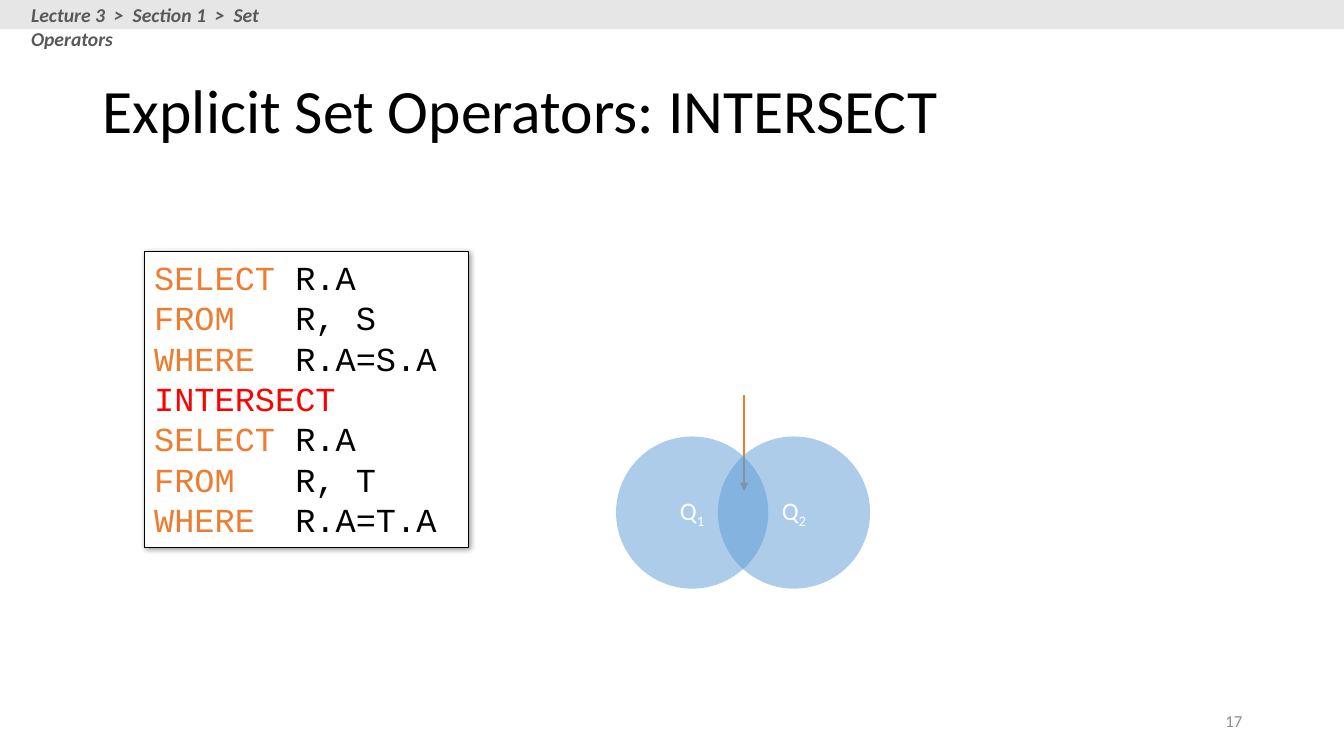
from lxml import etree
from pptx import Presentation
from pptx.dml.color import RGBColor
from pptx.enum import shapes, text
from pptx.oxml import parse_xml
from pptx.oxml.ns import nsdecls, qn
from pptx.util import Inches, Pt

BLACK = RGBColor(0x00, 0x00, 0x00)
WHITE = RGBColor(0xFF, 0xFF, 0xFF)
ORANGE = RGBColor(0xED, 0x7D, 0x31)
RED = RGBColor(0xFF, 0x00, 0x00)
BLUE = RGBColor(0x5B, 0x9B, 0xD5)
BAND = RGBColor(0xE7, 0xE6, 0xE6)
CRUMB = RGBColor(0x59, 0x59, 0x59)
NUMBER = RGBColor(0x8C, 0x8C, 0x8C)


def add_run(p, txt, size, color, font="Calibri", bold=False, italic=False, base=None):
    r = p.add_run()
    r.text = txt
    f = r.font
    f.name, f.size, f.bold, f.italic = font, Pt(size), bold, italic
    f.color.rgb = color
    if base is not None:
        r._r.get_or_add_rPr().set("baseline", str(base * 1000))


def add_filled(parent, kind, x, y, w, h, fill):
    sp = parent.add_shape(kind, Inches(x), Inches(y), Inches(w), Inches(h))
    sp.shadow.inherit = False
    sp.fill.solid()
    sp.fill.fore_color.rgb = fill
    sp.line.fill.background()
    return sp


prs = Presentation()
prs.slide_width, prs.slide_height = Inches(13.33), Inches(7.5)
s = prs.slides.add_slide(prs.slide_layouts[5])

# Title
title = s.shapes.title
title.left, title.top = Inches(0.92), Inches(0.4)
title.width, title.height = Inches(11.5), Inches(1.45)
title.text_frame.vertical_anchor = text.MSO_ANCHOR.MIDDLE
p = title.text_frame.paragraphs[0]
p.alignment = text.PP_ALIGN.LEFT
p.line_spacing = 0.9
add_run(p, "Explicit Set Operators: INTERSECT", 44, BLACK)

# Slide number
tb = s.shapes.add_textbox(Inches(9.42), Inches(6.95), Inches(3), Inches(0.4))
tb.text_frame.word_wrap = True
tb.text_frame.vertical_anchor = text.MSO_ANCHOR.MIDDLE
p = tb.text_frame.paragraphs[0]
p.alignment = text.PP_ALIGN.RIGHT
add_run(p, "17", 12, NUMBER)

# Query box with soft shadow
box = add_filled(s.shapes, shapes.MSO_SHAPE.RECTANGLE, 1.43, 2.5, 3.22, 2.93, WHITE)
box.line.color.rgb = BLACK
box.line.width = Pt(0.75)
effects = box._element.spPr.find(qn("a:effectLst"))
effects.append(parse_xml(
    f'<a:outerShdw {nsdecls("a")} blurRad="50800" dist="12700" dir="2700000" '
    'algn="tl" rotWithShape="0"><a:srgbClr val="000000">'
    '<a:alpha val="40000"/></a:srgbClr></a:outerShdw>'))
query = [
    ("SELECT", " R.A"),
    ("FROM", "   R, S"),
    ("WHERE", "  R.A=S.A"),
    ("INTERSECT", ""),
    ("SELECT", " R.A"),
    ("FROM", "   R, T"),
    ("WHERE", "  R.A=T.A"),
]
tf = box.text_frame
tf.word_wrap = True
tf.vertical_anchor = text.MSO_ANCHOR.TOP
for i, (keyword, rest) in enumerate(query):
    p = tf.add_paragraph() if i else tf.paragraphs[0]
    p.alignment = text.PP_ALIGN.LEFT
    add_run(p, keyword, 24, RED if keyword == "INTERSECT" else ORANGE, "Courier New")
    if rest:
        add_run(p, rest, 24, BLACK, "Courier New")

# Breadcrumb band
header = s.shapes.add_group_shape().shapes
add_filled(header, shapes.MSO_SHAPE.RECTANGLE, 0, 0, 13.33, 0.29, BAND)
tb = header.add_textbox(Inches(0.21), Inches(-0.02), Inches(3.27), Inches(0.34))
tb.text_frame.word_wrap = True
add_run(tb.text_frame.paragraphs[0], "Lecture 3  >  Section 1  >  Set Operators",
        14, CRUMB, bold=True, italic=True)

# Arrow into the intersection
arrow = s.shapes.add_connector(shapes.MSO_CONNECTOR.STRAIGHT,
                               Inches(7.38), Inches(3.92), Inches(7.38), Inches(4.87))
arrow.line.color.rgb = ORANGE
arrow.line.width = Pt(1.5)
etree.SubElement(arrow.line._get_or_add_ln(), qn("a:tailEnd"), type="triangle")
etree.SubElement(arrow._element.spPr, qn("a:effectLst"))

# Venn diagram
venn = s.shapes.add_group_shape().shapes
for i in range(2):
    circle = add_filled(venn, shapes.MSO_SHAPE.OVAL, 6.11 + 1.01 * i, 4.33, 1.51, 1.51, BLUE)
    color = circle._element.spPr.find(qn("a:solidFill"))[0]
    etree.SubElement(color, qn("a:alpha"), val="50000")
    circle.text_frame.vertical_anchor = text.MSO_ANCHOR.MIDDLE
    p = circle.text_frame.paragraphs[0]
    p.alignment = text.PP_ALIGN.CENTER
    add_run(p, "Q", 18, WHITE)
    add_run(p, str(i + 1), 18, WHITE, base=-25)

prs.save("out.pptx")
